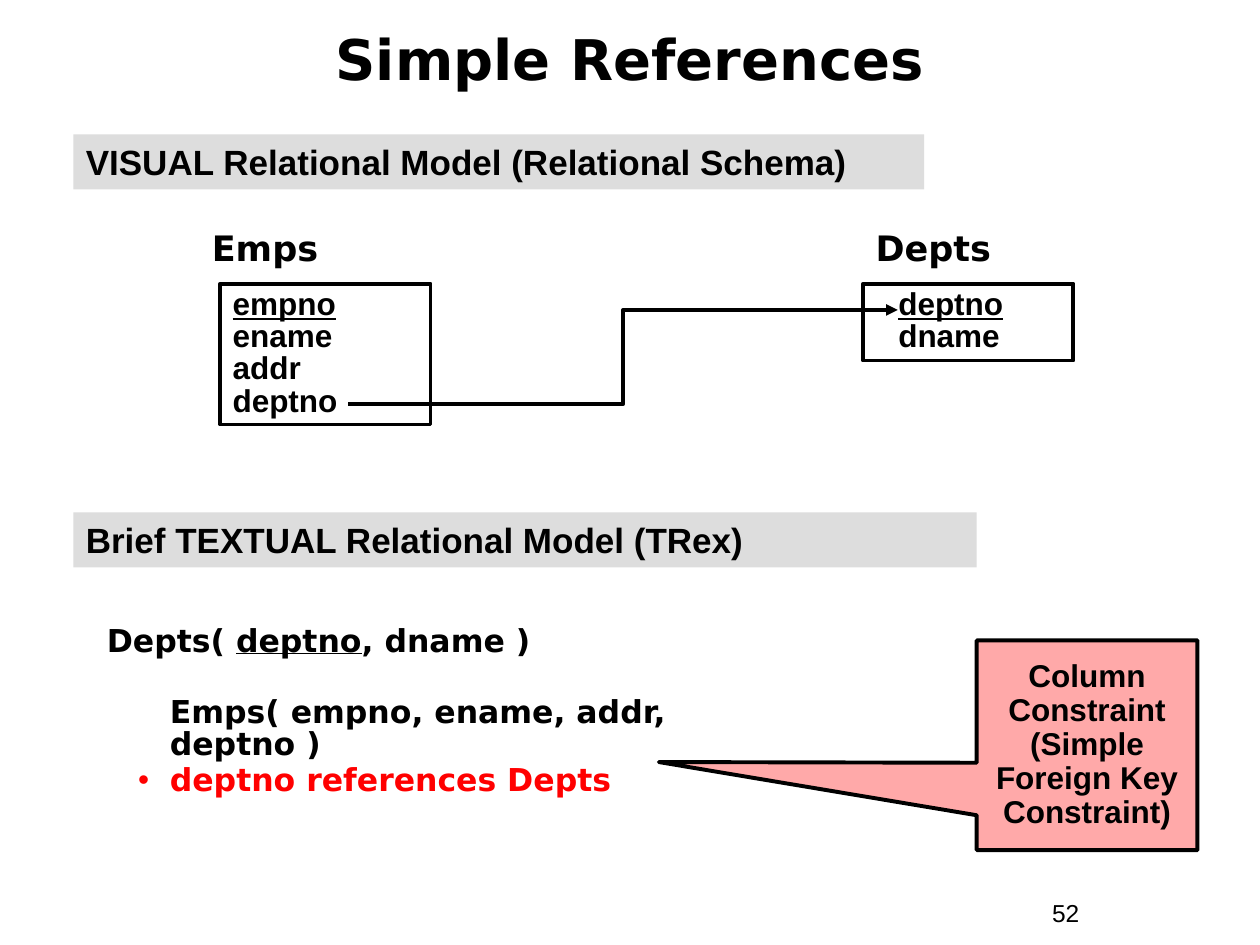
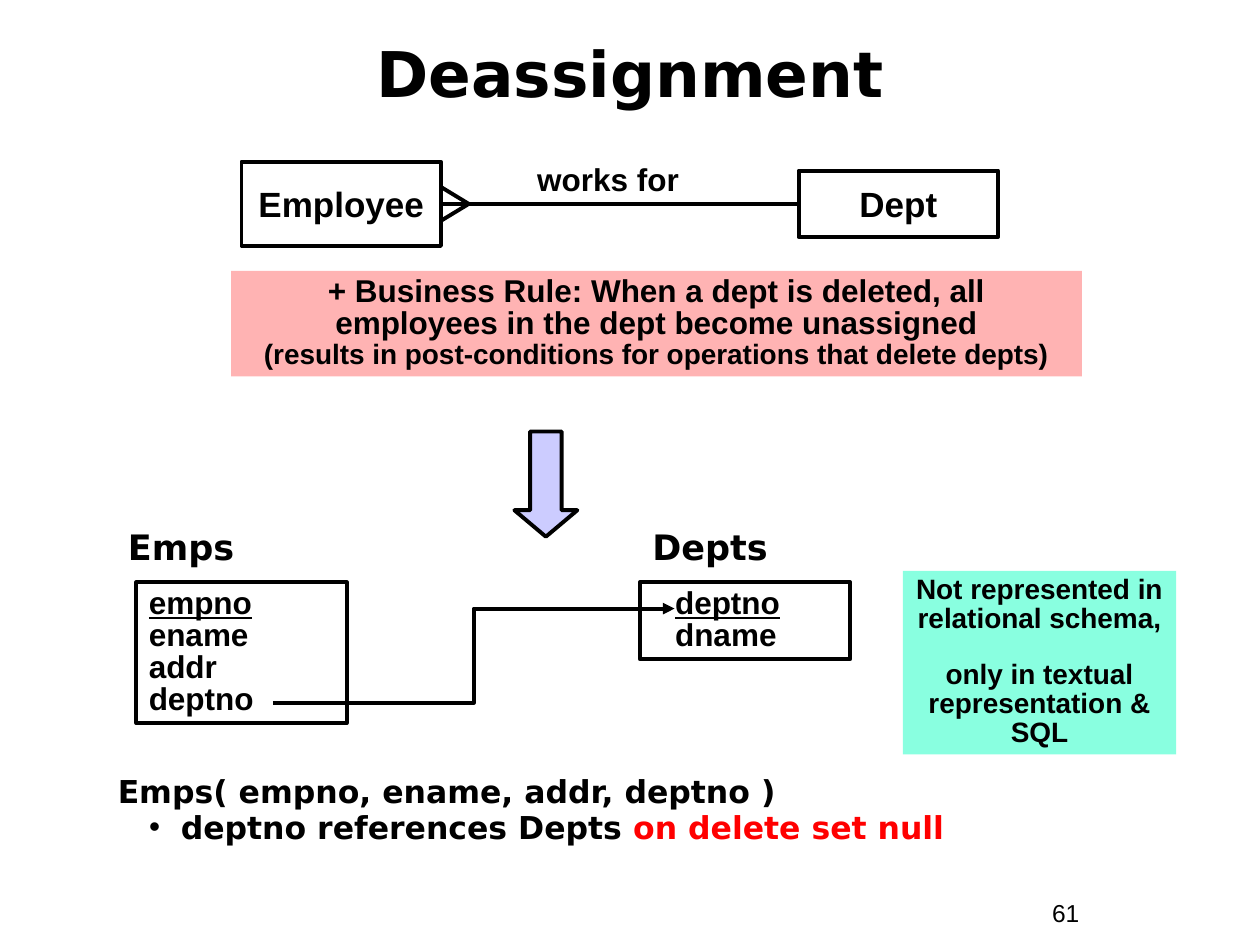
import dataclasses
import typing

import pptx
import pptx.dml.color
import pptx.enum.shapes
import pptx.enum.text
import pptx.oxml.ns
import pptx.util
from lxml import etree

Cm = pptx.util.Cm
Pt = pptx.util.Pt
RGBColor = pptx.dml.color.RGBColor
ALIGN = pptx.enum.text.PP_ALIGN
ANCHOR = pptx.enum.text.MSO_ANCHOR
SHAPE = pptx.enum.shapes.MSO_SHAPE
CONNECTOR = pptx.enum.shapes.MSO_CONNECTOR
qn = pptx.oxml.ns.qn

BLACK = RGBColor(0x00, 0x00, 0x00)
RED = RGBColor(0xFF, 0x00, 0x00)
HEADING_GREY = RGBColor(0xDD, 0xDD, 0xDD)
CALLOUT_PINK = RGBColor(0xFF, 0xA9, 0xA9)
RULE_PINK = RGBColor(0xFF, 0xB3, 0xB3)
NOTE_GREEN = RGBColor(0x89, 0xFF, 0xE0)
ARROW_LILAC = RGBColor(0xCC, 0xCC, 0xFF)

SANS = "Arial"
WIDE = "DejaVu Sans"
LINE_WIDTH = Pt(2.25)
TIGHT = 0.85


@dataclasses.dataclass
class Run:
    text: str
    color: RGBColor = BLACK
    underline: bool = False
    size: typing.Optional[float] = None


@dataclasses.dataclass
class Para:
    runs: list
    before: float = 0
    margin: float = 0
    bullet: typing.Optional[RGBColor] = None


def plain(*lines):
    return [Para([Run(line)]) for line in lines]


def place(box):
    """Turn left, top, width, height in centimetres into lengths."""
    return [Cm(value) for value in box]


def set_indent(paragraph, margin, bullet):
    properties = paragraph._p.get_or_add_pPr()
    properties.set("marL", str(Cm(margin)))
    properties.set("indent", str(Cm(-0.64) if bullet is not None else 0))
    if bullet is None:
        etree.SubElement(properties, qn("a:buNone"))
        return
    color = etree.SubElement(properties, qn("a:buClr"))
    etree.SubElement(color, qn("a:srgbClr"), val=str(bullet))
    etree.SubElement(properties, qn("a:buFont"), typeface=SANS)
    etree.SubElement(properties, qn("a:buChar"), char="•")


def write(frame, paras, size, font=SANS, align=ALIGN.LEFT, spacing=1.0,
          anchor=ANCHOR.TOP, wrap=True, bold=True):
    frame.word_wrap = wrap
    frame.auto_size = pptx.enum.text.MSO_AUTO_SIZE.NONE
    frame.vertical_anchor = anchor
    for index, para in enumerate(paras):
        paragraph = frame.add_paragraph() if index else frame.paragraphs[0]
        paragraph.alignment = align
        paragraph.line_spacing = spacing
        paragraph.space_before = Pt(para.before)
        set_indent(paragraph, para.margin, para.bullet)
        for part in para.runs:
            for number, line in enumerate(part.text.split("\n")):
                if number:
                    paragraph.add_line_break()
                if not line:
                    continue
                run = paragraph.add_run()
                run.text = line
                run.font.name = font
                run.font.size = Pt(part.size or size)
                run.font.bold = bold
                run.font.underline = part.underline
                run.font.color.rgb = part.color


def add_label(slide, box, text, size, **style):
    label = slide.shapes.add_textbox(*place(box))
    write(label.text_frame, plain(text), size, **style)


def add_panel(slide, box, fill=None, outlined=False, kind=SHAPE.RECTANGLE):
    panel = slide.shapes.add_shape(kind, *place(box))
    panel.shadow.inherit = False
    if fill is None:
        panel.fill.background()
    else:
        panel.fill.solid()
        panel.fill.fore_color.rgb = fill
    if outlined:
        panel.line.color.rgb = BLACK
        panel.line.width = LINE_WIDTH
    else:
        panel.line.fill.background()
    return panel


def add_line(slide, start, end, kind=CONNECTOR.STRAIGHT, arrow=False):
    line = slide.shapes.add_connector(kind, *place(start + end))
    line.line.color.rgb = BLACK
    line.line.width = LINE_WIDTH
    if arrow:
        etree.SubElement(line.line._get_or_add_ln(), qn("a:tailEnd"),
                         type="triangle", w="med", len="med")
    etree.SubElement(line._element.spPr, qn("a:effectLst"))


def start_slide(deck, title, title_box, size, spacing, number):
    slide = deck.slides.add_slide(deck.slide_layouts[1])
    heading = slide.shapes.title
    heading.left, heading.top, heading.width, heading.height = place(title_box)
    write(heading.text_frame, plain(title), size, WIDE, ALIGN.CENTER, spacing,
          ANCHOR.MIDDLE)
    add_label(slide, (20.96, 17.98, 2.33, 0.86), number, 14, bold=False)
    return slide


def fill_body(slide, box, paras):
    body = slide.placeholders[1]
    body.left, body.top, body.width, body.height = place(box)
    write(body.text_frame, paras, 18, WIDE, spacing=TIGHT)


def section_heading(slide, box, text):
    band = add_panel(slide, box, HEADING_GREY)
    write(band.text_frame, plain(text), 20)


def schema_table(slide, label_x, box_x, top, name, columns, height, margin=0):
    """Table name over a box of columns, the first underlined as the key."""
    add_label(slide, (label_x, top, 5.46, 1.11), name, 20, font=WIDE)
    table = add_panel(slide, (box_x, top + 1.27, 4.24, height), outlined=True)
    paras = [Para([Run(column, underline=index == 0)], margin=margin)
             for index, column in enumerate(columns)]
    write(table.text_frame, paras, 18, spacing=TIGHT)


def schema_diagram(slide, left, top, depts_x, reference_x):
    """Emps and Depts with the foreign key arrow between them."""
    schema_table(slide, left, left + 0.42, top, "Emps",
                 ["empno", "ename", "addr", "deptno"], 2.84)
    schema_table(slide, depts_x, depts_x, top, "Depts",
                 ["deptno", "dname"], 1.55, margin=0.46)
    add_line(slide, (reference_x, top + 3.7), (depts_x + 0.7, top + 1.8),
             CONNECTOR.ELBOW, arrow=True)


def entity(slide, box, name):
    frame = add_panel(slide, box, outlined=True).text_frame
    write(frame, plain(name), 20, align=ALIGN.CENTER, anchor=ANCHOR.MIDDLE,
          wrap=False)


def relationship_diagram(slide, left, middle):
    """Employee and Dept joined by a line with a crow's foot."""
    width, dept_x = 4.02, left + 11.23
    edge = left + width
    entity(slide, (dept_x, middle - 0.67, width, 1.34), "Dept")
    entity(slide, (left, middle - 0.85, width, 1.7), "Employee")
    for spread in (-0.34, 0.34):
        add_line(slide, (edge + 0.56, middle), (edge, middle + spread))
    add_line(slide, (dept_x, middle), (edge, middle))
    add_label(slide, (edge + 1.25, middle - 1.01, 4.24, 1.02), "works for", 18,
              align=ALIGN.CENTER)


def constraint_callout(slide, box):
    callout = add_panel(slide, box, CALLOUT_PINK, True,
                        SHAPE.RECTANGULAR_CALLOUT)
    callout.adjustments[0] = -1.94
    callout.adjustments[1] = 0.08
    write(callout.text_frame,
          plain("Column Constraint\n(Simple\nForeign Key\nConstraint)"), 18,
          align=ALIGN.CENTER, spacing=0.9, anchor=ANCHOR.MIDDLE)


def business_rule(slide, box):
    rule = Run("+ Business Rule: When a dept is deleted, all employees "
               "in the dept become unassigned\n")
    result = Run("(results in post-conditions for operations "
                 "that delete depts)", size=16)
    write(add_panel(slide, box, RULE_PINK).text_frame, [Para([rule, result])],
          18, align=ALIGN.CENTER, spacing=TIGHT)


def representation_note(slide, box):
    paras = plain("Not represented in relational schema,",
                  "only in textual representation & SQL")
    paras[1].before = 16
    write(add_panel(slide, box, NOTE_GREEN).text_frame, paras, 16,
          align=ALIGN.CENTER, spacing=TIGHT)


def mapping_arrow(slide, box):
    arrow = add_panel(slide, box, ARROW_LILAC, True, SHAPE.DOWN_ARROW)
    arrow.adjustments[0] = 0.5
    arrow.adjustments[1] = 0.42


def references_slide(deck):
    slide = start_slide(deck, "Simple References", (0.42, 0.21, 24.56, 1.91),
                        32, 1.0, "52")
    fill_body(slide, (1.9, 12.5, 14.82, 3.81), [
        Para([Run("Depts( "), Run("deptno", underline=True),
              Run(", dname )")]),
        Para([Run("Emps( empno, ename, addr, deptno )")], 22.6, 1.27),
        Para([Run("deptno references Depts", RED)], 2.2, 1.27, RED)])
    constraint_callout(slide, (19.69, 12.91, 4.45, 4.23))
    schema_diagram(slide, 4.02, 4.45, 17.4, 7.02)
    section_heading(slide, (1.48, 2.71, 17.15, 1.11),
                    "VISUAL Relational Model (Relational Schema)")
    section_heading(slide, (1.48, 10.33, 18.21, 1.11),
                    "Brief TEXTUAL Relational Model (TRex)")


def deassignment_slide(deck):
    slide = start_slide(deck, "Deassignment", (0.85, 0.42, 23.71, 2.33),
                        36, TIGHT, "61")
    relationship_diagram(slide, 4.87, 4.11)
    schema_diagram(slide, 2.33, 10.47, 12.9, 5.5)
    fill_body(slide, (2.12, 15.55, 19.05, 2.36), [
        Para([Run("Emps( empno, ename, addr, deptno )")]),
        Para([Run("deptno references Depts"),
              Run(" on delete set null", RED)], 2.2, 1.27, BLACK)])
    business_rule(slide, (4.66, 5.46, 17.15, 2.13))
    mapping_arrow(slide, (10.37, 8.7, 1.27, 2.12))
    representation_note(slide, (18.2, 11.51, 5.51, 3.7))


def main():
    deck = pptx.Presentation()
    deck.slide_width, deck.slide_height = Cm(25.4), Cm(19.05)
    references_slide(deck)
    deassignment_slide(deck)
    deck.save("out.pptx")


if __name__ == "__main__":
    main()
